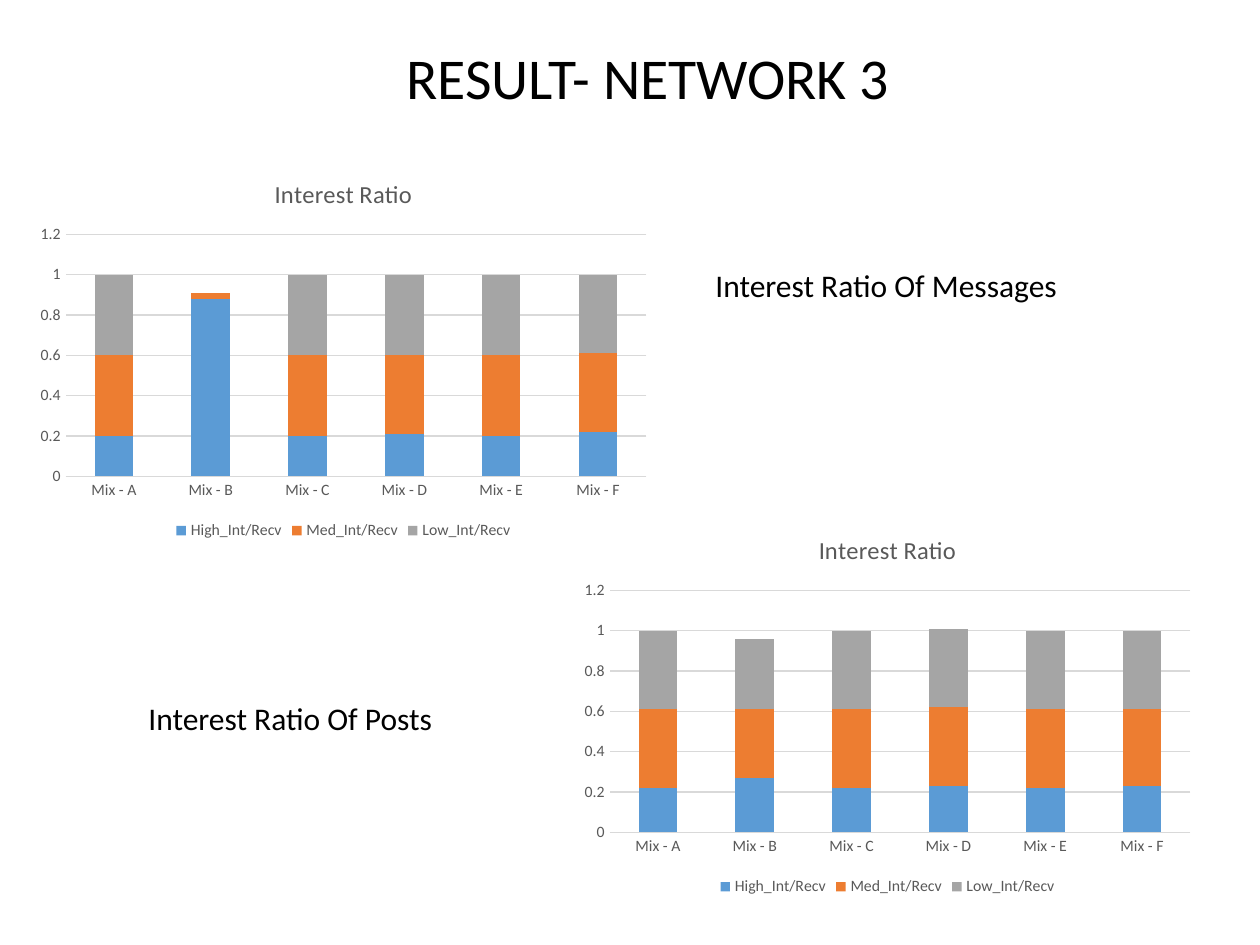
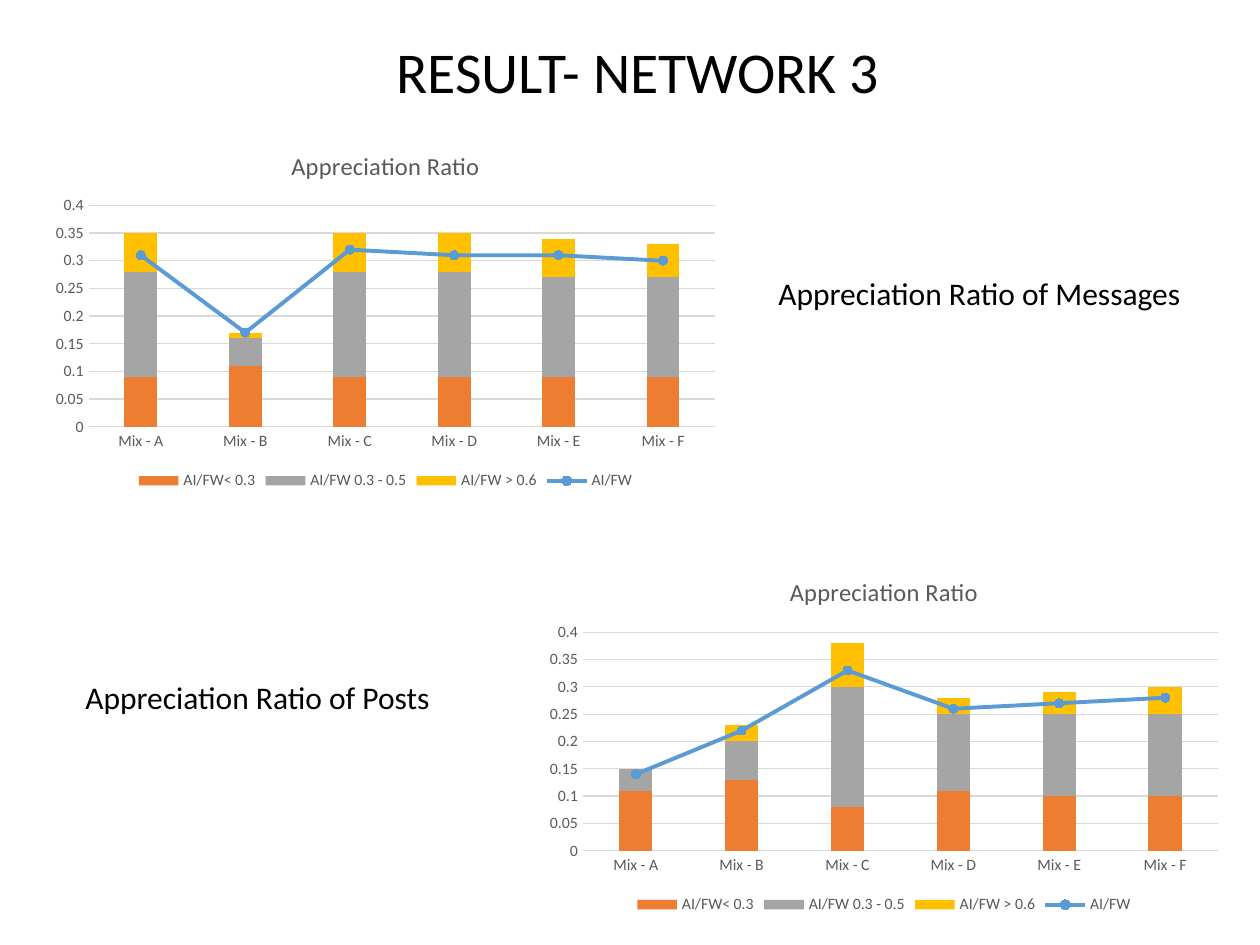
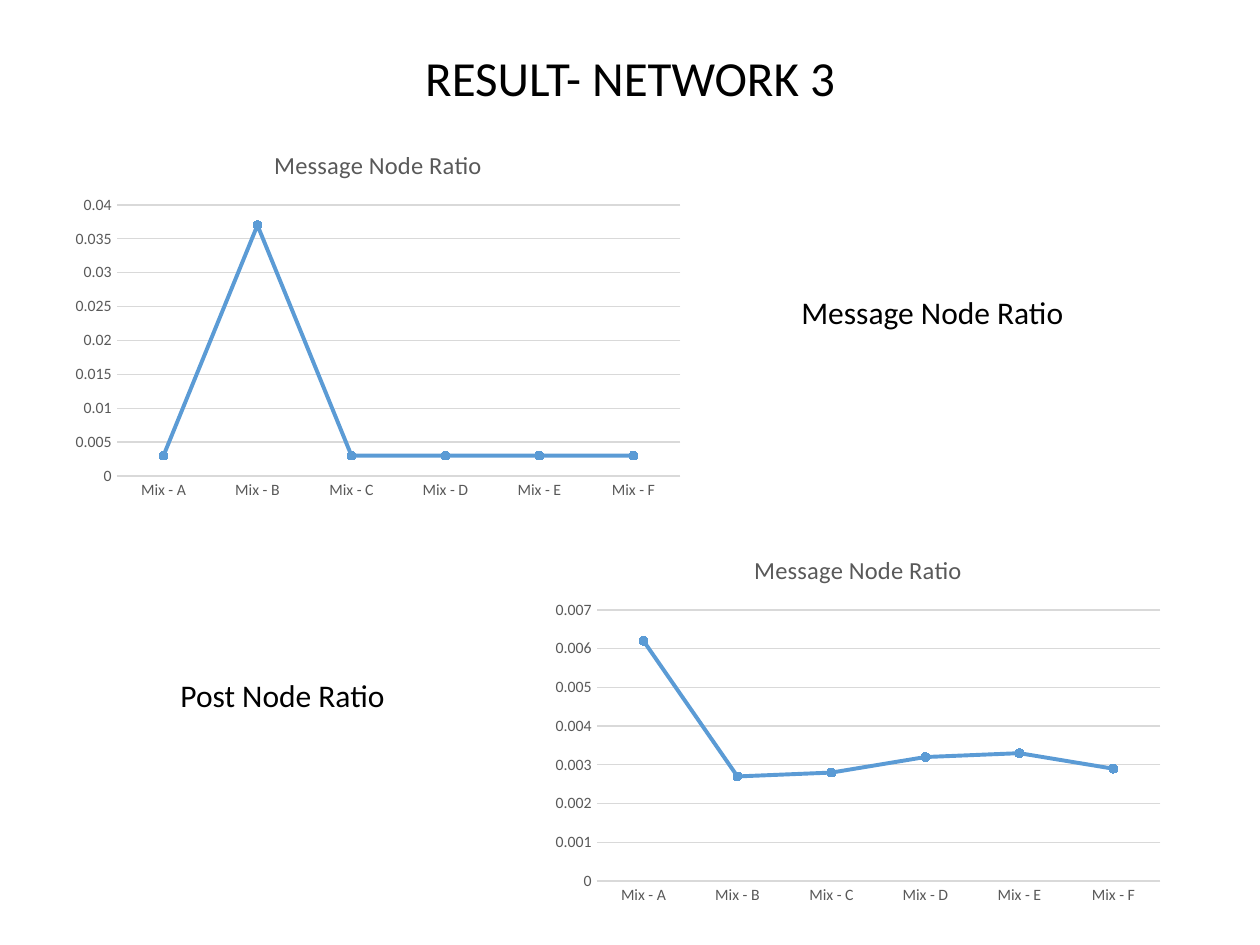
from pptx import Presentation
from pptx.chart.data import CategoryChartData
from pptx.dml.color import RGBColor
from pptx.enum.chart import XL_CHART_TYPE, XL_LEGEND_POSITION, XL_MARKER_STYLE, XL_TICK_MARK
from pptx.enum.text import MSO_ANCHOR, MSO_AUTO_SIZE, PP_ALIGN
from pptx.oxml import parse_xml
from pptx.oxml.ns import nsdecls, qn
from pptx.util import Emu, Pt

PX = 914400 / 126  # EMU in one px

BLACK = RGBColor(0x00, 0x00, 0x00)
GRAY_TEXT = RGBColor(0x59, 0x59, 0x59)
GRID = RGBColor(0xD9, 0xD9, 0xD9)
BLUE = RGBColor(0x5B, 0x9B, 0xD5)
ORANGE = RGBColor(0xED, 0x7D, 0x31)
GRAY = RGBColor(0xA5, 0xA5, 0xA5)
GOLD = RGBColor(0xFF, 0xC0, 0x00)

FONT = "Calibri"
MIXES = [f"Mix - {letter}" for letter in "ABCDEF"]
INTEREST = [("High_Int/Recv", BLUE), ("Med_Int/Recv", ORANGE), ("Low_Int/Recv", GRAY)]
APPRECIATION = [("AI/FW< 0.3", ORANGE), ("AI/FW 0.3 - 0.5", GRAY),
                ("AI/FW > 0.6", GOLD), ("AI/FW", BLUE)]
NODE_RATIO = [("Series 1", BLUE)]


def box(*lengths):
    return [Emu(round(n * PX)) for n in lengths]


def set_attrs(obj, values):
    for name, value in values.items():
        setattr(obj, name, value)


def set_font(font, size, color):
    set_attrs(font, {"name": FONT, "size": Pt(size), "bold": False})
    font.color.rgb = color


def set_line(line, color, width):
    line.color.rgb = color
    line.width = Pt(width)


# Text
def add_text(s, text, at, size, frame, para):
    tf = s.shapes.add_textbox(*box(*at)).text_frame
    set_attrs(tf, frame)
    p = tf.paragraphs[0]
    set_attrs(p, para)
    r = p.add_run()
    r.text = text
    set_font(r.font, size, BLACK)


def add_title(s, at, size):
    add_text(s, "RESULT- NETWORK 3", at, size,
             {"word_wrap": True, "vertical_anchor": MSO_ANCHOR.MIDDLE},
             {"alignment": PP_ALIGN.CENTER, "line_spacing": 0.9})


def add_label(s, text, at):
    add_text(s, text, at, 18,
             {"word_wrap": False, "auto_size": MSO_AUTO_SIZE.SHAPE_TO_FIT_TEXT}, {})


# Charts
def add_chart(s, kind, title, at, series, rows, top, step):
    data = CategoryChartData()
    data.categories = MIXES
    for (name, _), values in zip(series, rows):
        data.add_series(name, values)
    chart = s.shapes.add_chart(kind, *box(*at), data).chart
    set_font(chart.font, 10, BLACK)

    chart.has_title = True
    tf = chart.chart_title.text_frame
    tf.text = title
    set_font(tf.paragraphs[0].runs[0].font, 14, GRAY_TEXT)
    chart.chart_title.include_in_layout = False

    for axis in (chart.category_axis, chart.value_axis):
        set_attrs(axis, {"major_tick_mark": XL_TICK_MARK.NONE,
                         "minor_tick_mark": XL_TICK_MARK.NONE})
        set_font(axis.tick_labels.font, 9, GRAY_TEXT)
    set_line(chart.category_axis.format.line, GRID, 0.75)
    value_axis = chart.value_axis
    set_attrs(value_axis, {"minimum_scale": 0, "maximum_scale": top, "major_unit": step})
    value_axis.format.line.fill.background()
    set_line(value_axis.major_gridlines.format.line, GRID, 0.75)

    chart.has_legend = len(series) > 1
    if chart.has_legend:
        set_attrs(chart.legend, {"position": XL_LEGEND_POSITION.BOTTOM,
                                 "include_in_layout": False})
        set_font(chart.legend.font, 9, GRAY_TEXT)
    chart.plots[0].vary_by_categories = False
    return chart


def style_line(line_series, color):
    line_series.smooth = False
    set_line(line_series.format.line, color, 2.25)
    marker = line_series.marker
    set_attrs(marker, {"style": XL_MARKER_STYLE.CIRCLE, "size": 5})
    marker.format.fill.solid()
    marker.format.fill.fore_color.rgb = color
    set_line(marker.format.line, color, 0.75)


def last_series_to_line(chart):
    """Move the last column series to a line plot on the same axes."""
    plot = chart.plots[0]
    bars = plot._element
    ser = plot.series[-1]._element
    line_plot = parse_xml(
        f'<c:lineChart {nsdecls("c")}><c:grouping val="stacked"/>'
        '<c:varyColors val="0"/><c:marker val="1"/></c:lineChart>')
    for old in ser.findall(qn("c:invertIfNegative")):
        ser.remove(old)
    line_plot.insert(2, ser)
    for ax in bars.findall(qn("c:axId")):
        line_plot.append(parse_xml(f'<c:axId {nsdecls("c")} val="{ax.get("val")}"/>'))
    bars.addnext(line_plot)


def add_columns(s, title, at, series, rows, top, step, gap, with_line=False):
    chart = add_chart(s, XL_CHART_TYPE.COLUMN_STACKED, title, at, series, rows, top, step)
    if with_line:
        last_series_to_line(chart)
        style_line(chart.plots[1].series[0], series[-1][1])
    plot = chart.plots[0]
    set_attrs(plot, {"gap_width": gap, "overlap": 100})
    for column, (_, color) in zip(plot.series, series):
        column.format.fill.solid()
        column.format.fill.fore_color.rgb = color


def add_line(s, at, values, top, step):
    chart = add_chart(s, XL_CHART_TYPE.LINE_MARKERS_STACKED, "Message Node Ratio", at,
                      NODE_RATIO, [values], top, step)
    style_line(chart.plots[0].series[0], BLUE)


# Slides
def interest_slide(s):
    add_title(s, (105, 6, 1086, 149), 33)
    messages = [(0.2, 0.88, 0.2, 0.21, 0.2, 0.22),
                (0.4, 0.03, 0.4, 0.39, 0.4, 0.39),
                (0.4, 0, 0.4, 0.4, 0.4, 0.39)]
    posts = [(0.22, 0.27, 0.22, 0.23, 0.22, 0.23),
             (0.39, 0.34, 0.39, 0.39, 0.39, 0.38),
             (0.39, 0.35, 0.39, 0.39, 0.39, 0.39)]
    for at, rows in (((28, 158, 631, 387), messages), ((572, 514, 631, 387), posts)):
        add_columns(s, "Interest Ratio", at, INTEREST, rows, 1.2, 0.2, 150)
    add_label(s, "Interest Ratio Of Posts", (136, 693, 320, 50))
    add_label(s, "Interest Ratio Of Messages", (703, 260, 370, 50))


def appreciation_slide(s):
    add_title(s, (95, 21, 1086, 107), 33)
    messages = [(0.09, 0.11, 0.09, 0.09, 0.09, 0.09),
                (0.19, 0.05, 0.19, 0.19, 0.18, 0.18),
                (0.07, 0.01, 0.07, 0.07, 0.07, 0.06),
                (0.31, 0.17, 0.32, 0.31, 0.31, 0.3)]
    posts = [(0.11, 0.13, 0.08, 0.11, 0.1, 0.1),
             (0.04, 0.07, 0.22, 0.14, 0.15, 0.15),
             (0, 0.03, 0.08, 0.03, 0.04, 0.05),
             (0.14, 0.22, 0.33, 0.26, 0.27, 0.28)]
    for at, rows in (((42, 130, 687, 365), messages), ((536, 557, 696, 362), posts)):
        add_columns(s, "Appreciation Ratio", at, APPRECIATION, rows, 0.4, 0.05, 219,
                    with_line=True)
    add_label(s, "Appreciation Ratio of Messages", (766, 268, 432, 50))
    add_label(s, "Appreciation Ratio of Posts", (73, 672, 374, 50))


def node_slide(s):
    add_title(s, (87, 32, 1086, 97), 28)
    add_line(s, (63, 129, 630, 378), (0.003, 0.037, 0.003, 0.003, 0.003, 0.003), 0.04, 0.005)
    add_line(s, (543, 534, 630, 378), (0.0062, 0.0027, 0.0028, 0.0032, 0.0033, 0.0029),
             0.007, 0.001)
    add_label(s, "Message Node Ratio", (789, 287, 291, 50))
    add_label(s, "Post Node Ratio", (168, 670, 232, 50))


def main():
    prs = Presentation()
    prs.slide_width, prs.slide_height = box(1260, 945)
    for build in (interest_slide, appreciation_slide, node_slide):
        build(prs.slides.add_slide(prs.slide_layouts[6]))
    prs.save("out.pptx")


if __name__ == "__main__":
    main()
